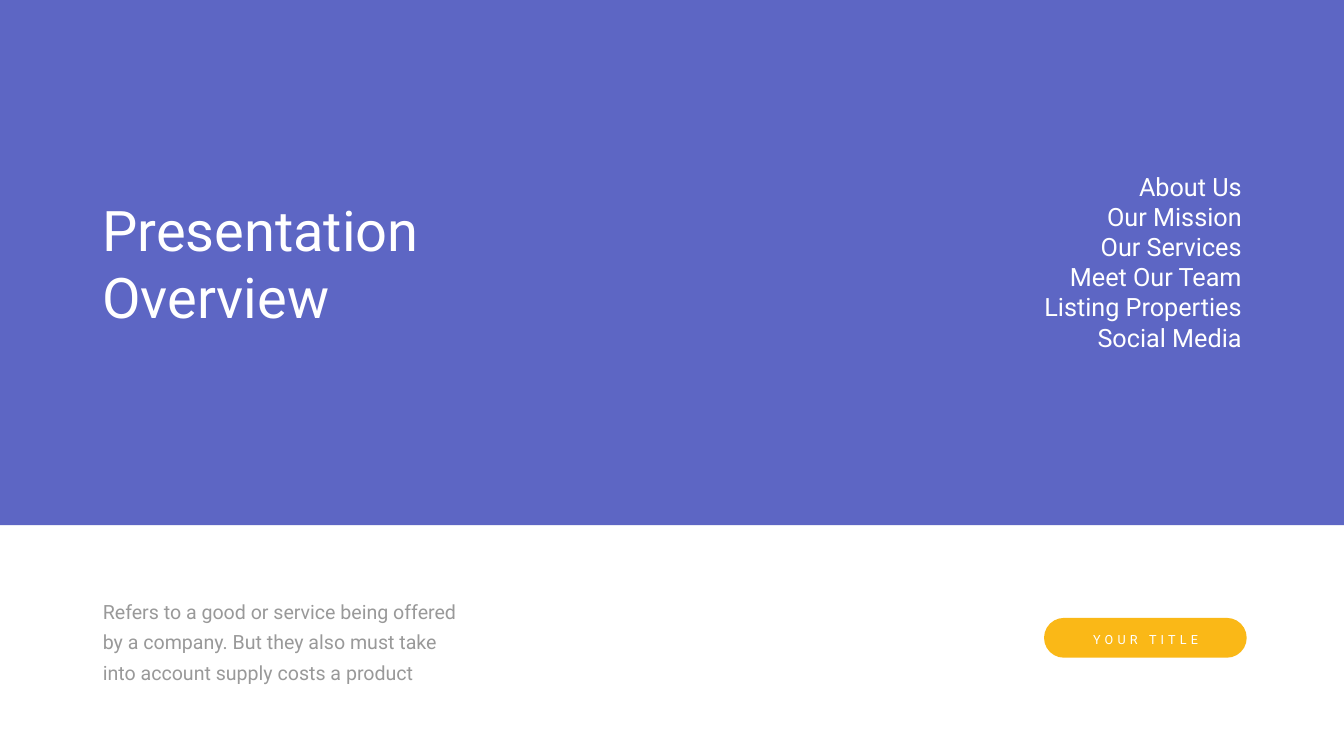
"""Build the presentation overview slide."""
from lxml import etree
from pptx import Presentation
from pptx.dml.color import RGBColor
from pptx.enum.shapes import MSO_SHAPE
from pptx.enum.text import MSO_AUTO_SIZE, PP_ALIGN
from pptx.oxml.ns import qn
from pptx.util import Inches, Pt

RECT, PILL = MSO_SHAPE.RECTANGLE, MSO_SHAPE.ROUNDED_RECTANGLE
LEFT, CENTER, RIGHT = PP_ALIGN.LEFT, PP_ALIGN.CENTER, PP_ALIGN.RIGHT
GROW = MSO_AUTO_SIZE.SHAPE_TO_FIT_TEXT
FONT = "Roboto"
COLORS = {"white": "FFFFFF", "band": "3540B6", "button": "FAB817", "body": "999999"}
TOPICS = ["About Us", "Our Mission", "Our Services", "Meet Our Team",
          "Listing Properties", "Social Media"]
BODY = ("Refers to a good or service being offered by a company. "
        "But they also must take into account supply costs a product")


def rgb(name):
    return RGBColor.from_string(COLORS[name])


def add_block(s, kind, box, color, alpha=None):
    sp = s.shapes.add_shape(kind, *map(Inches, box))
    sp.shadow.inherit = False
    sp.fill.solid()
    sp.fill.fore_color.rgb = rgb(color)
    sp.line.fill.background()
    if alpha is not None:
        clr = sp.fill._xPr.find(qn("a:solidFill"))[0]
        etree.SubElement(clr, qn("a:alpha"), val=str(alpha * 1000))
    return sp


def add_text(s, box, lines, size, color="white", align=LEFT,
             insets=(0.1, 0.05), line_spacing=None, tracking=None):
    tf = s.shapes.add_textbox(*map(Inches, box)).text_frame
    tf.word_wrap = True
    tf.auto_size = GROW
    tf.margin_left = tf.margin_right = Inches(insets[0])
    tf.margin_top = tf.margin_bottom = Inches(insets[1])
    tf.text = "\n".join(lines)
    for p in tf.paragraphs:
        p.alignment = align
        if line_spacing:
            p.line_spacing = Pt(line_spacing)
        for r in p.runs:
            r.font.name = FONT
            r.font.size = Pt(size)
            r.font.color.rgb = rgb(color)
            if tracking:
                r.font._element.set("spc", str(tracking * 100))


def main():
    prs = Presentation()
    prs.slide_width, prs.slide_height = Inches(26.66), Inches(15)
    s = prs.slides.add_slide(prs.slide_layouts[6])
    s.background.fill.solid()
    s.background.fill.fore_color.rgb = rgb("white")

    add_block(s, RECT, (0, 0, 26.66, 10.42), "band", alpha=80)
    add_text(s, (1.93, 3.82, 7.49, 2.79), ["Presentation Overview"], 80)
    add_text(s, (20.2, 3.34, 4.53, 3.74), TOPICS, 36, align=RIGHT)
    add_text(s, (1.8, 11.66, 7.82, 2), [BODY], 28, "body",
             insets=(0.24, 0.12), line_spacing=43)

    button = add_block(s, PILL, (20.71, 12.26, 4.02, 0.79), "button")
    button.adjustments[0] = 0.5
    add_text(s, (21.05, 12.49, 3.35, 0.4), ["YOUR TITLE"], 18,
             align=CENTER, tracking=6)
    prs.save("out.pptx")


if __name__ == "__main__":
    main()
